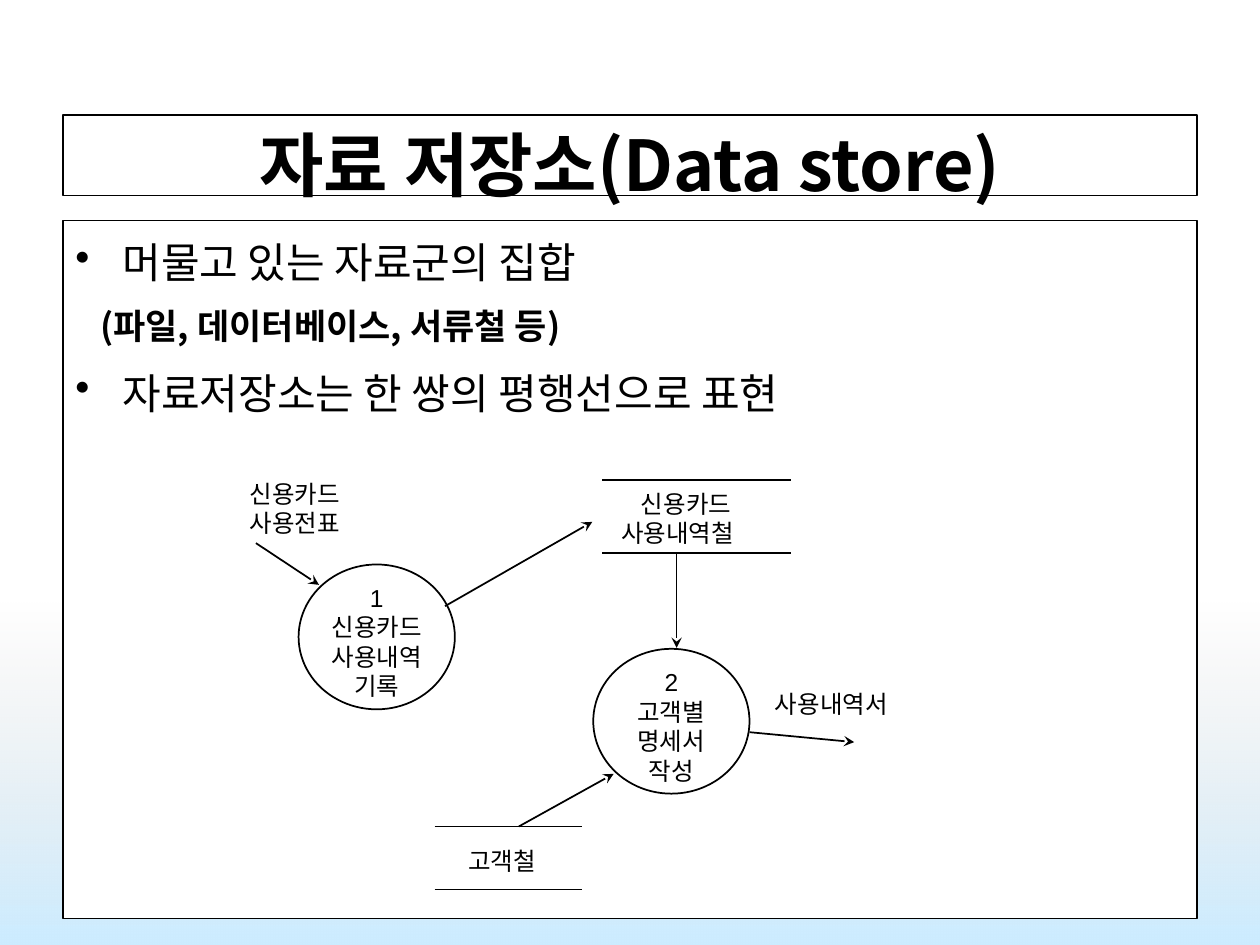
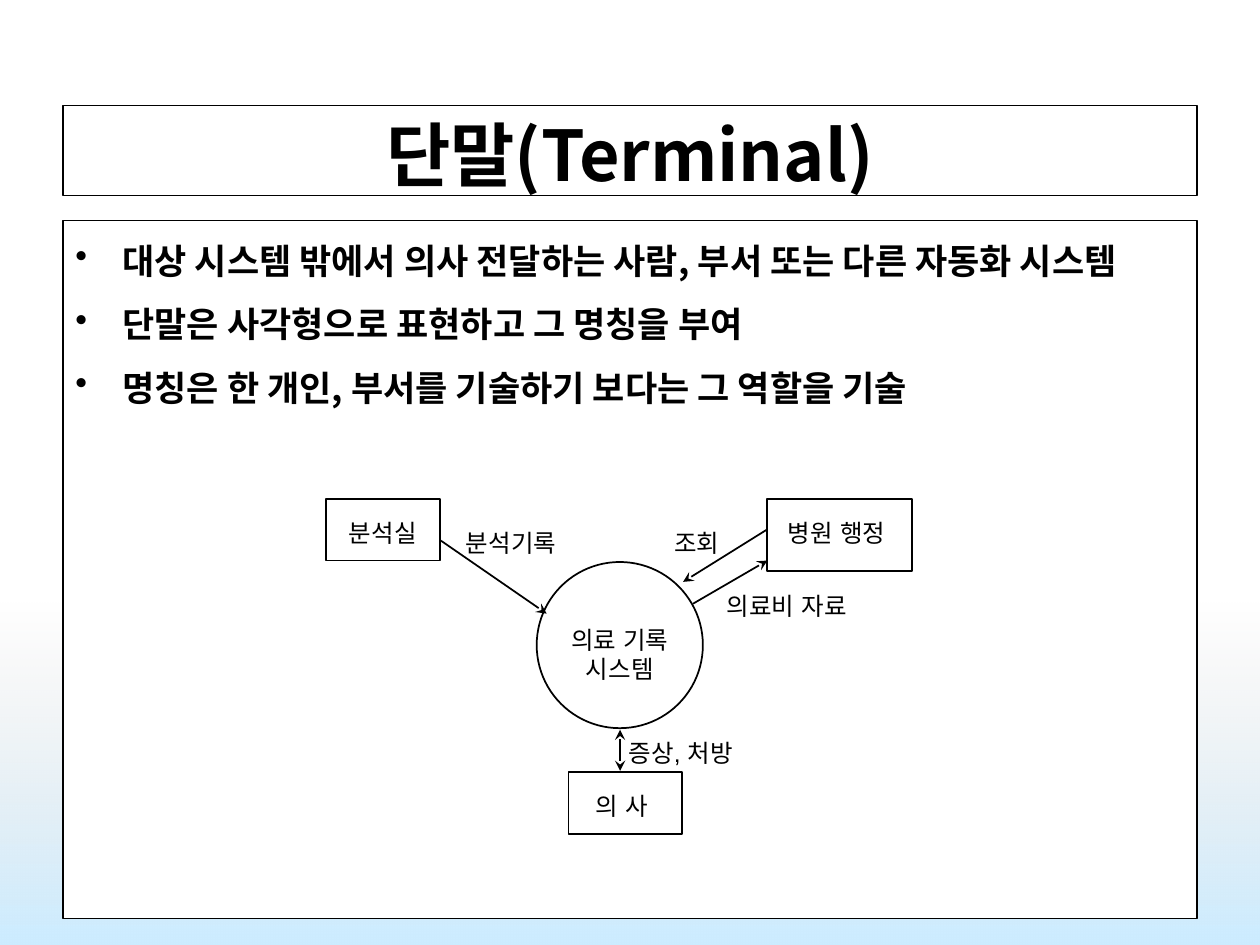
from pptx import Presentation
from pptx.dml.color import RGBColor
from pptx.enum.shapes import MSO_CONNECTOR as Link, MSO_SHAPE as Form
from pptx.enum.text import MSO_ANCHOR as Anchor, MSO_AUTO_SIZE as Fit, PP_ALIGN as Align
from pptx.oxml.ns import qn
from pptx.util import Cm, Pt
from lxml.etree import SubElement as Sub

BLACK, WHITE, GREY, SKY = "000000", "FFFFFF", "DDDDDD", "CCECFF"
SANS, HAN = "Arial", "Noto Sans CJK KR"
WIDE, HIGH = 25.4, 19.05


def hue(code):
    return RGBColor.from_string(code)


def write(para, text, size=14, font=SANS, bold=False, align=Align.LEFT,
          left=0, hang=0, bullet=None, space=0, line=None):
    """Fill one paragraph and format it."""
    run = para.add_run()
    run.text = text
    run.font.size, run.font.bold, run.font.name = Pt(size), bold, font
    run.font.color.rgb = hue(BLACK)
    Sub(run.font._element, qn("a:ea"), typeface=font)
    para.alignment = align
    para.space_before = Pt(space)
    if line:
        para.line_spacing = line
    props = para._p.get_or_add_pPr()
    props.set("marL", str(Cm(left)))
    props.set("indent", str(Cm(-hang)))
    if bullet:
        tint = Sub(props, qn("a:buClr"))
        Sub(tint, qn("a:srgbClr"), val=BLACK)
        Sub(props, qn("a:buChar"), char=bullet)


class Deck:
    def __init__(self):
        self.prs = Presentation()
        self.prs.slide_width, self.prs.slide_height = Cm(WIDE), Cm(HIGH)
        self.slide = None

    def page(self, title, top, items):
        """Start a slide with its glow, title and bullet panel."""
        self.slide = self.prs.slides.add_slide(self.prs.slide_layouts[6])
        self.glow()
        self.panel(top, 3.94 - top, [(title, dict(size=40, bold=True, align=Align.CENTER))])
        self.panel(4.45, 14.07, items)

    def shape(self, form, x, y, w, h, fill=None, width=1):
        item = self.slide.shapes.add_shape(form, Cm(x), Cm(y), Cm(w), Cm(h))
        item.shadow.inherit = False
        if fill:
            item.fill.solid()
            item.fill.fore_color.rgb = hue(fill)
        else:
            item.fill.background()
        item.line.color.rgb = hue(BLACK)
        item.line.width = Pt(width)
        return item

    def glow(self):
        band = self.shape(Form.RECTANGLE, 0, 12.12, WIDE, HIGH - 12.12)
        band.line.fill.background()
        band.fill.gradient()
        band.fill.gradient_angle = 270
        for stop, code in zip(band.fill.gradient_stops, (GREY, SKY)):
            stop.color.rgb = hue(code)
        first = band._element.spPr.find(".//" + qn("a:srgbClr"))
        Sub(first, qn("a:alpha"), val="0")

    def panel(self, y, h, items):
        frame = self.shape(Form.RECTANGLE, 1.27, y, 22.86, h, WHITE, 0.75).text_frame
        frame.word_wrap = True
        frame.vertical_anchor = Anchor.TOP
        for i, (text, style) in enumerate(items):
            para = frame.add_paragraph() if i else frame.paragraphs[0]
            write(para, text, font=HAN, **style)

    def label(self, text, x, y, w, align=Align.LEFT, inset=0):
        """Write one text box; inset indents its first line."""
        lines = text.split("\n")
        box = self.slide.shapes.add_textbox(Cm(x), Cm(y), Cm(w), Cm(0.24 + 0.6 * len(lines)))
        frame = box.text_frame
        frame.word_wrap = False
        frame.auto_size = Fit.SHAPE_TO_FIT_TEXT
        for i, row in enumerate(lines):
            para = frame.add_paragraph() if i else frame.paragraphs[0]
            write(para, row, align=align, left=0 if i else inset)

    def node(self, text, x, y, w, h, drop, span):
        """Draw a process circle with its text centred across it."""
        self.shape(Form.OVAL, x, y, w, h)
        self.label(text, x + (w - span) / 2, y + drop, span, Align.CENTER)

    def block(self, text, x, y, w, h, span):
        """Draw a terminal box with its name."""
        self.shape(Form.RECTANGLE, x, y, w, h)
        self.label(text, x + (w - span) / 2, y + 0.25, span)

    def line(self, x1, y1, x2, y2, ends=()):
        link = self.slide.shapes.add_connector(
            Link.STRAIGHT, Cm(x1), Cm(y1), Cm(x2), Cm(y2))
        link.line.color.rgb = hue(BLACK)
        link.line.width = Pt(1)
        for end in ends:
            Sub(link.line._get_or_add_ln(), qn(f"a:{end}End"), type="stealth")
        Sub(link._element.spPr, qn("a:effectLst"))

    def arrow(self, *ends, both=False):
        self.line(*ends, ends=("head", "tail") if both else ("tail",))

    def store(self, x, y, w, h):
        """Draw the pair of parallel lines of a data store."""
        for level in (y, y + h):
            self.line(x, level, x + w, level)


def stores(deck):
    point = dict(size=24, left=0.95, hang=0.95, bullet="•", space=6, line=1.2)
    deck.page("자료 저장소(Data store)", 2.32, [
        ("머물고 있는 자료군의 집합", point),
        ("(파일, 데이터베이스, 서류철 등)",
         dict(size=20, bold=True, left=0.5, space=5, line=1.2)),
        ("자료저장소는 한 쌍의 평행선으로 표현", point)])

    # Processes
    deck.node("1\n신용카드\n사용내역\n기록", 6.02, 11.38, 3.15, 2.92, 0.25, 2.34)
    deck.node("2\n고객별\n명세서\n작성", 11.96, 13.08, 3.15, 2.92, 0.25, 1.88)

    # Data stores
    deck.store(8.76, 16.66, 2.97, 1.27)
    deck.label("고객철", 9.19, 16.94, 1.88)
    deck.store(12.14, 9.68, 3.81, 1.47)
    deck.label("신용카드\n사용내역철", 12.27, 9.73, 3.07, inset=0.4)

    # Data flows
    for ends in ((5.16, 10.95, 6.43, 11.79), (8.97, 12.22, 11.94, 10.52),
                 (10.46, 16.66, 12.37, 15.6), (13.64, 11.15, 13.64, 13.06),
                 (15.11, 14.76, 17.22, 14.96)):
        deck.arrow(*ends)
    deck.label("신용카드\n사용전표", 4.78, 9.53, 2.34)
    deck.label("사용내역서", 15.37, 13.77, 2.79)


def terminals(deck):
    point = dict(size=20, bold=True, left=0.95, hang=0.95, bullet="•", space=5, line=1.3)
    deck.page("단말(Terminal)", 2.13, [(text, point) for text in (
        "대상 시스템 밖에서 의사 전달하는 사람, 부서 또는 다른 자동화 시스템",
        "단말은 사각형으로 표현하고 그 명칭을 부여",
        "명칭은 한 개인, 부서를 기술하기 보다는 그 역할을 기술")])

    # System and terminals
    deck.node("의료 기록\n시스템", 10.82, 11.33, 3.35, 3.35, 1.14, 2.59)
    deck.block("분석실", 6.58, 10.06, 2.29, 1.24, 1.88)
    deck.block("의 사", 11.46, 15.57, 2.29, 1.24, 1.68)
    deck.block("병원 행정", 15.47, 10.06, 2.92, 1.45, 2.59)

    # Data flows
    deck.arrow(8.89, 10.9, 11.02, 12.37)
    deck.arrow(12.5, 14.71, 12.5, 15.54, both=True)
    deck.arrow(15.47, 10.67, 13.77, 11.73)
    deck.arrow(13.97, 12.17, 15.47, 11.3)
    for text, x, y, w in (("분석기록", 9.14, 10.52, 2.34), ("조회", 13.34, 10.52, 1.42),
                          ("의료비 자료", 14.4, 11.79, 3.05), ("증상, 처방", 12.42, 14.76, 2.84)):
        deck.label(text, x, y, w)


def main():
    deck = Deck()
    stores(deck)
    terminals(deck)
    deck.prs.save("out.pptx")


if __name__ == "__main__":
    main()
